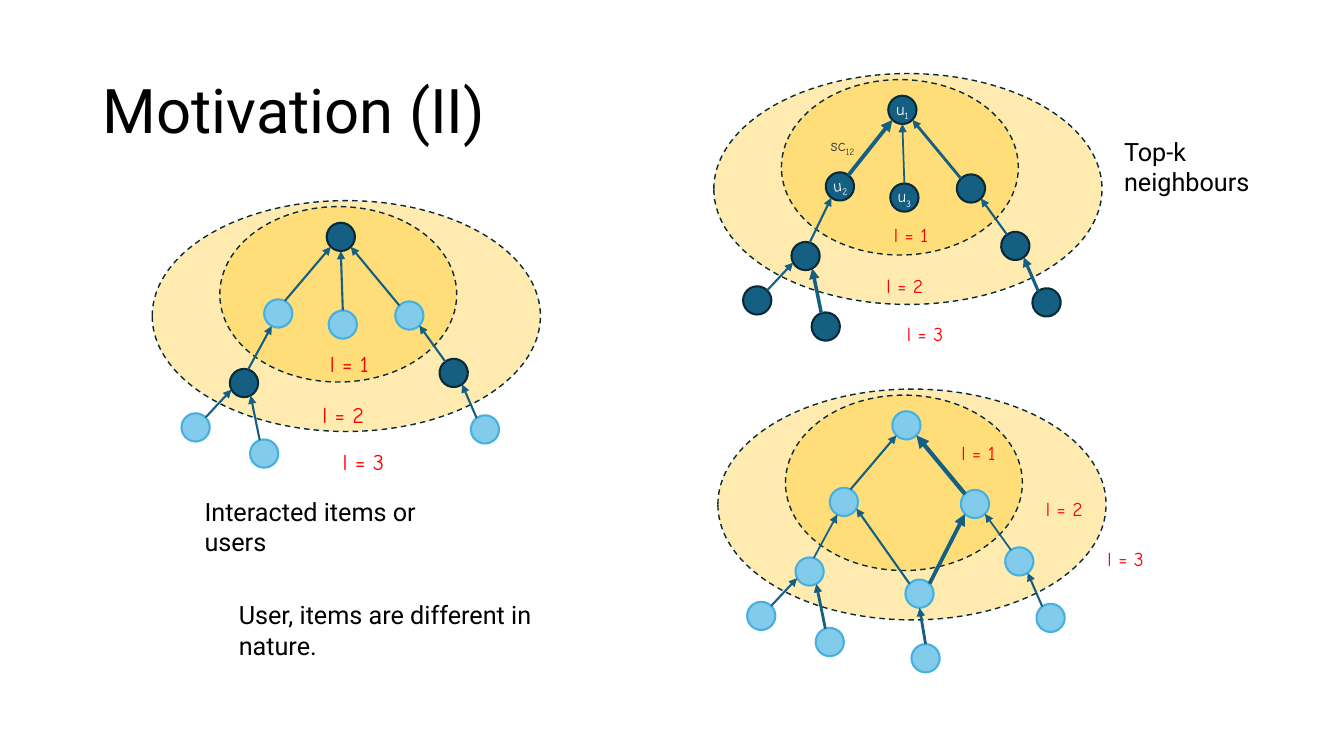
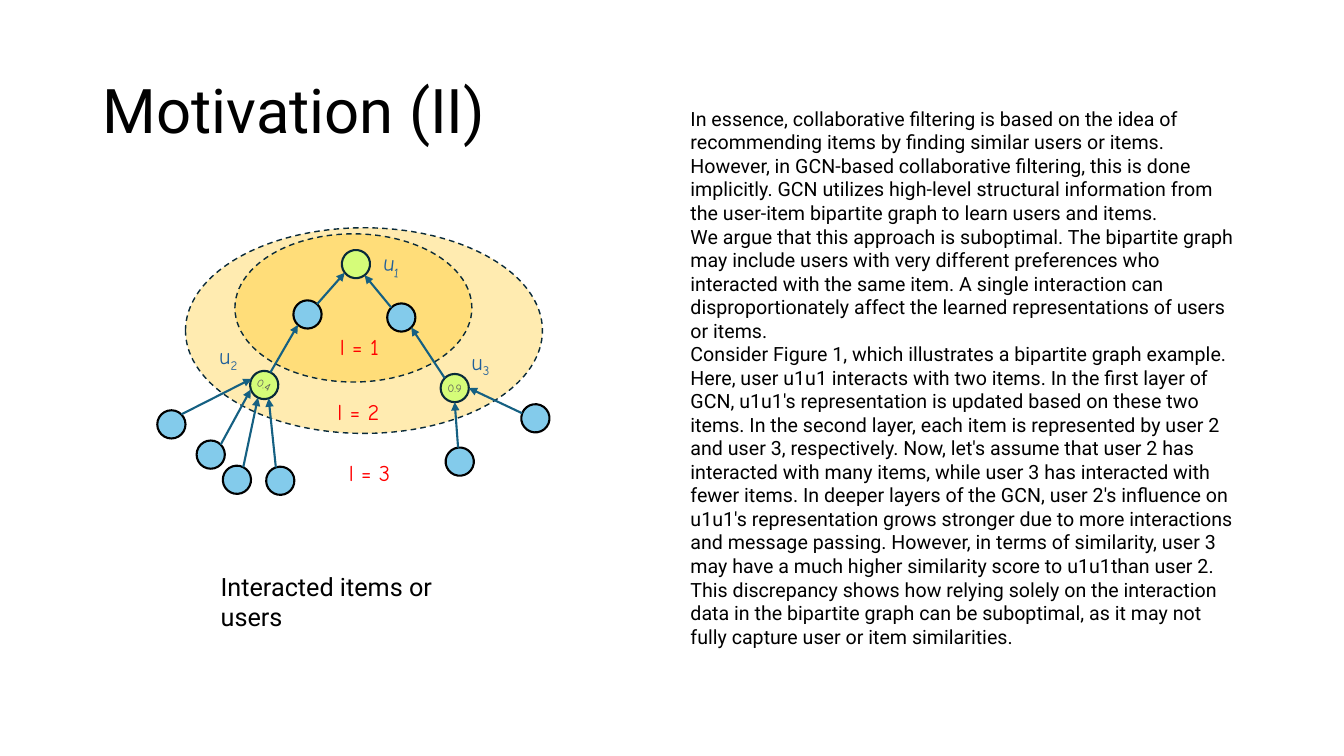
from dataclasses import dataclass, replace
from math import cos, radians, sin

from lxml import etree
from pptx import Presentation, util as u
from pptx.dml.color import RGBColor
from pptx.enum import dml, shapes, text
from pptx.oxml.ns import qn

NAVY, SKY, LIME = "156082", "83CBEB", "D5FC79"
DARK, BLACK, WHITE, RED = "092A39", "000000", "FFFFFF", "FF0000"
AMBER, STEEL = "FFC000", "215F9A"
BODY_FONT, GRAPH_FONT = "Roboto", "Comic Neue"
NODE_SIZE = 0.28
STYLES = {
    "navy": (NAVY, DARK),
    "sky": (SKY, "46B1E1"),
    "item": (SKY, BLACK),
    "user": (LIME, DARK),
}
SITES = {"top": 270, "top_left": 225, "left": 180, "low_left": 135,
         "bottom": 90, "low_right": 45, "right": 0, "top_right": 315}


@dataclass
class Node:
    x: float
    y: float
    rotation: float = 0
    style: str = "sky"
    label: tuple = ()

    def site(self, name):
        angle = radians(SITES[name] + self.rotation)
        radius = NODE_SIZE / 2
        return self.x + radius * (1 + cos(angle)), self.y + radius * (1 + sin(angle))


TREE_NODES = {
    "root": Node(1.73, 0.22),
    "left": Node(1.11, 0.98, 342.7),
    "middle": Node(1.75, 1.09),
    "right": Node(2.41, 1),
    "low_left": Node(0.77, 1.67, 17),
    "low_right": Node(2.85, 1.57, 8.8),
    "leaf_1": Node(0.29, 2.11),
    "leaf_2": Node(0.97, 2.37, 26.7),
    "leaf_3": Node(3.16, 2.13, 8.8),
}
TREE_EDGES = {
    ("left", "root"): ("top_right", "low_left"),
    ("middle", "root"): ("top", "bottom"),
    ("right", "root"): ("top_left", "low_right"),
    ("low_left", "left"): ("top", "low_left"),
    ("leaf_1", "low_left"): ("top_right", "low_left"),
    ("leaf_2", "low_left"): ("top_left", "low_right"),
    ("low_right", "right"): ("top_left", "low_right"),
    ("leaf_3", "low_right"): ("top_left", "low_right"),
}
TREE_RINGS = [(0, 0, 3.85, 2.29), (0.67, 0.06, 2.35, 1.74)]
TREE_LEVELS = [(1.49, 1.43), (1.43, 1.94), (1.63, 2.41)]

ESSAY = [
    "In essence, collaborative filtering is based on the idea of recommending items by finding similar users or items. However, in GCN-based collaborative filtering, this is done implicitly. GCN utilizes high-level structural information from the user-item bipartite graph to learn users and items.",
    "We argue that this approach is suboptimal. The bipartite graph may include users with very different preferences who interacted with the same item. A single interaction can disproportionately affect the learned representations of users or items.",
    "Consider Figure 1, which illustrates a bipartite graph example. Here, user u1u1 interacts with two items. In the first layer of GCN, u1u1's representation is updated based on these two items. In the second layer, each item is represented by user 2 and user 3, respectively. Now, let's assume that user 2 has interacted with many items, while user 3 has interacted with fewer items. In deeper layers of the GCN, user 2's influence on u1u1's representation grows stronger due to more interactions and message passing. However, in terms of similarity, user 3 may have a much higher similarity score to u1u1than user 2. This discrepancy shows how relying solely on the interaction data in the bipartite graph can be suboptimal, as it may not fully capture user or item similarities.",
]


def color(value):
    return RGBColor.from_string(value)


def inches(*values):
    return [u.Inches(value) for value in values]


def format_paragraph(paragraph, size, font, hex_color, align=text.PP_ALIGN.LEFT):
    paragraph.alignment = align
    paragraph.font.size = u.Pt(size)
    paragraph.font.name = font
    paragraph.font.color.rgb = color(hex_color)


def write_label(paragraph, label):
    base, *subscripts = label
    paragraph.add_run().text = base
    for subscript in subscripts:
        run = paragraph.add_run()
        run.text = subscript
        run._r.get_or_add_rPr().set("baseline", "-25000")


def add_text(slide, box, labels, size, font=BODY_FONT, hex_color=BLACK,
             align=text.PP_ALIGN.LEFT, rotation=0):
    shape = slide.shapes.add_textbox(*inches(*box))
    shape.rotation = rotation
    frame = shape.text_frame
    frame.word_wrap = True
    for index, label in enumerate(labels):
        paragraph = frame.add_paragraph() if index else frame.paragraphs[0]
        write_label(paragraph, label)
        format_paragraph(paragraph, size, font, hex_color, align)


def add_ellipse(slide, box, fill, line, width):
    shape = slide.shapes.add_shape(shapes.MSO_SHAPE.OVAL, *inches(*box))
    shape.shadow.inherit = False
    shape.fill.solid()
    shape.fill.fore_color.rgb = color(fill)
    shape.line.color.rgb = color(line)
    shape.line.width = u.Pt(width)
    return shape


def add_ring(slide, box):
    ring = add_ellipse(slide, box, AMBER, DARK, 1)
    ring.line.dash_style = dml.MSO_LINE.DASH
    fill = ring._element.spPr.find(qn("a:solidFill"))
    etree.SubElement(fill[0], qn("a:alpha"), val="31000")


def add_node(slide, left, top, node):
    box = (left + node.x, top + node.y, NODE_SIZE, NODE_SIZE)
    shape = add_ellipse(slide, box, *STYLES[node.style], 1.5)
    shape.rotation = node.rotation
    if node.label:
        frame = shape.text_frame
        frame.margin_left = frame.margin_right = 0
        frame.margin_top = frame.margin_bottom = 0
        frame.vertical_anchor = text.MSO_ANCHOR.MIDDLE
        frame.word_wrap = False
        size, ink = (7.9, "595959") if node.style == "user" else (12, WHITE)
        write_label(frame.paragraphs[0], node.label)
        format_paragraph(frame.paragraphs[0], size, GRAPH_FONT, ink, text.PP_ALIGN.CENTER)


def add_arrow(slide, start, end, width):
    connector = slide.shapes.add_connector(
        shapes.MSO_CONNECTOR.STRAIGHT, *inches(*start, *end))
    connector.line.color.rgb = color(NAVY)
    connector.line.width = u.Pt(width)
    properties = connector._element.spPr
    etree.SubElement(properties.find(qn("a:ln")), qn("a:tailEnd"), type="triangle")
    etree.SubElement(properties, qn("a:effectLst"))


def add_graph(slide, left, top, nodes, edges, widths=None, rings=TREE_RINGS,
              levels=TREE_LEVELS, level_size=14):
    widths = widths or {}
    for x, y, width, height in rings:
        add_ring(slide, (left + x, top + y, width, height))
    for node in nodes.values():
        add_node(slide, left, top, node)
    for (source, target), (start_site, end_site) in edges.items():
        start_x, start_y = nodes[source].site(start_site)
        end_x, end_y = nodes[target].site(end_site)
        add_arrow(slide, (left + start_x, top + start_y), (left + end_x, top + end_y),
                  widths.get((source, target), 1.5))
    for level, (x, y) in enumerate(levels, 1):
        add_text(slide, (left + x, top + y, 0.93, 0.36), [(f"l = {level}",)], level_size,
                 GRAPH_FONT, RED, text.PP_ALIGN.CENTER)


def add_interaction_tree(slide, left, top):
    users = ("root", "low_left", "low_right")
    nodes = {name: replace(node, style="navy" if name in users else "sky")
             for name, node in TREE_NODES.items()}
    add_graph(slide, left, top, nodes, TREE_EDGES, level_size=16)


def add_neighbour_tree(slide, left, top):
    nodes = {name: replace(node, style="navy") for name, node in TREE_NODES.items()}
    for index, name in enumerate(("root", "left", "middle"), 1):
        nodes[name].label = ("u", str(index))
    nodes["left"].rotation = 352.2
    widths = {("left", "root"): 2.75, ("middle", "root"): 1.25, ("right", "root"): 2,
              ("leaf_2", "low_left"): 2.5, ("leaf_3", "low_right"): 2.25}
    add_graph(slide, left, top, nodes, TREE_EDGES, widths)
    add_text(slide, (left + 1.06, top + 0.56, 0.6, 0.3), [("sc", "12")], 12,
             GRAPH_FONT, "3A3A3A")


def add_item_tree(slide, left, top):
    nodes = {**TREE_NODES, "middle": Node(1.86, 1.89), "leaf_4": Node(1.92, 2.53)}
    edges = {key: sites for key, sites in TREE_EDGES.items() if key != ("middle", "root")}
    edges.update({
        ("middle", "left"): ("top_left", "low_right"),
        ("middle", "right"): ("top_right", "low_left"),
        ("leaf_4", "middle"): ("top", "bottom"),
    })
    widths = {("right", "root"): 3, ("low_left", "left"): 1.25, ("leaf_2", "low_left"): 2,
              ("low_right", "right"): 1.25, ("middle", "right"): 2.75,
              ("leaf_4", "middle"): 2}
    add_graph(slide, left, top, nodes, edges, widths,
              levels=[(2.12, 0.47), (2.97, 1.02), (3.58, 1.52)])


def add_user_graph(slide, left, top):
    nodes = {
        "user_1": Node(1.55, 0.22, 7, "user"),
        "item_left": Node(1.07, 0.72, 312.7, "item"),
        "item_right": Node(2, 0.75, 0, "item"),
        "user_2": Node(0.64, 1.42, 26.3, "user", ("0.4",)),
        "user_3": Node(2.53, 1.45, 0, "user", ("0.9",)),
        "leaf_1": Node(-0.28, 1.81, 0, "item"),
        "leaf_2": Node(0.11, 2.11, 0, "item"),
        "leaf_3": Node(0.37, 2.36, 26.7, "item"),
        "leaf_4": Node(0.8, 2.37, 26.7, "item"),
        "leaf_5": Node(2.58, 2.18, 353.2, "item"),
        "leaf_6": Node(3.33, 1.75, 20.9, "item"),
    }
    edges = {
        ("item_left", "user_1"): ("right", "low_left"),
        ("item_right", "user_1"): ("top_left", "low_right"),
        ("user_2", "item_left"): ("top", "left"),
        ("user_3", "item_right"): ("top_left", "low_right"),
        ("leaf_1", "user_2"): ("top_right", "left"),
        ("leaf_2", "user_2"): ("top_right", "low_left"),
        ("leaf_3", "user_2"): ("top", "bottom"),
        ("leaf_4", "user_2"): ("top_left", "low_right"),
        ("leaf_5", "user_3"): ("top", "bottom"),
        ("leaf_6", "user_3"): ("left", "right"),
    }
    add_graph(slide, left, top, nodes, edges,
              rings=[(0, 0, 3.54, 2.04), (0.49, 0.06, 2.35, 1.47)],
              levels=[(1.26, 1), (1.25, 1.64), (1.36, 2.25)], level_size=16)
    user_labels = [(1.58, 0.16, 6.2), (-0.04, 1.09, 0), (2.46, 1.14, 0)]
    for index, (x, y, rotation) in enumerate(user_labels, 1):
        add_text(slide, (left + x, top + y, 0.93, 0.37), [("u", str(index))], 16,
                 GRAPH_FONT, STEEL, text.PP_ALIGN.CENTER, rotation)


def add_titled_slide(presentation, title_text):
    slide = presentation.slides.add_slide(presentation.slide_layouts[5])
    title = slide.shapes.title
    title.left, title.top, title.width, title.height = inches(0.92, 0.4, 11.5, 1.45)
    title.text_frame.text = title_text
    title.text_frame.vertical_anchor = text.MSO_ANCHOR.MIDDLE
    paragraph = title.text_frame.paragraphs[0]
    paragraph.line_spacing = 0.9
    format_paragraph(paragraph, 44, BODY_FONT, BLACK)
    return slide


def build_tree_slide(presentation):
    slide = add_titled_slide(presentation, "Motivation (II)")
    add_interaction_tree(slide, 1.51, 1.99)
    add_neighbour_tree(slide, 7.08, 0.73)
    add_item_tree(slide, 7.12, 3.86)
    add_text(slide, (11.05, 1.3, 2.06, 0.7), [("Top-k neighbours",)], 18)
    add_text(slide, (1.93, 4.87, 2.91, 0.7), [("Interacted items or users",)], 18)
    add_text(slide, (2.27, 5.9, 3.87, 0.7), [("User, items are different in nature.",)], 18)


def build_essay_slide(presentation):
    slide = add_titled_slide(presentation, "Motivation (II)")
    add_user_graph(slide, 1.84, 2.26)
    add_text(slide, (2.09, 5.62, 2.91, 0.7), [("Interacted items or users",)], 18)
    add_text(slide, (6.75, 1.01, 5.66, 5.28), [(passage,) for passage in ESSAY], 14)


def main():
    presentation = Presentation()
    presentation.slide_width, presentation.slide_height = inches(13.33, 7.5)
    build_tree_slide(presentation)
    build_essay_slide(presentation)
    presentation.save("out.pptx")


if __name__ == "__main__":
    main()
